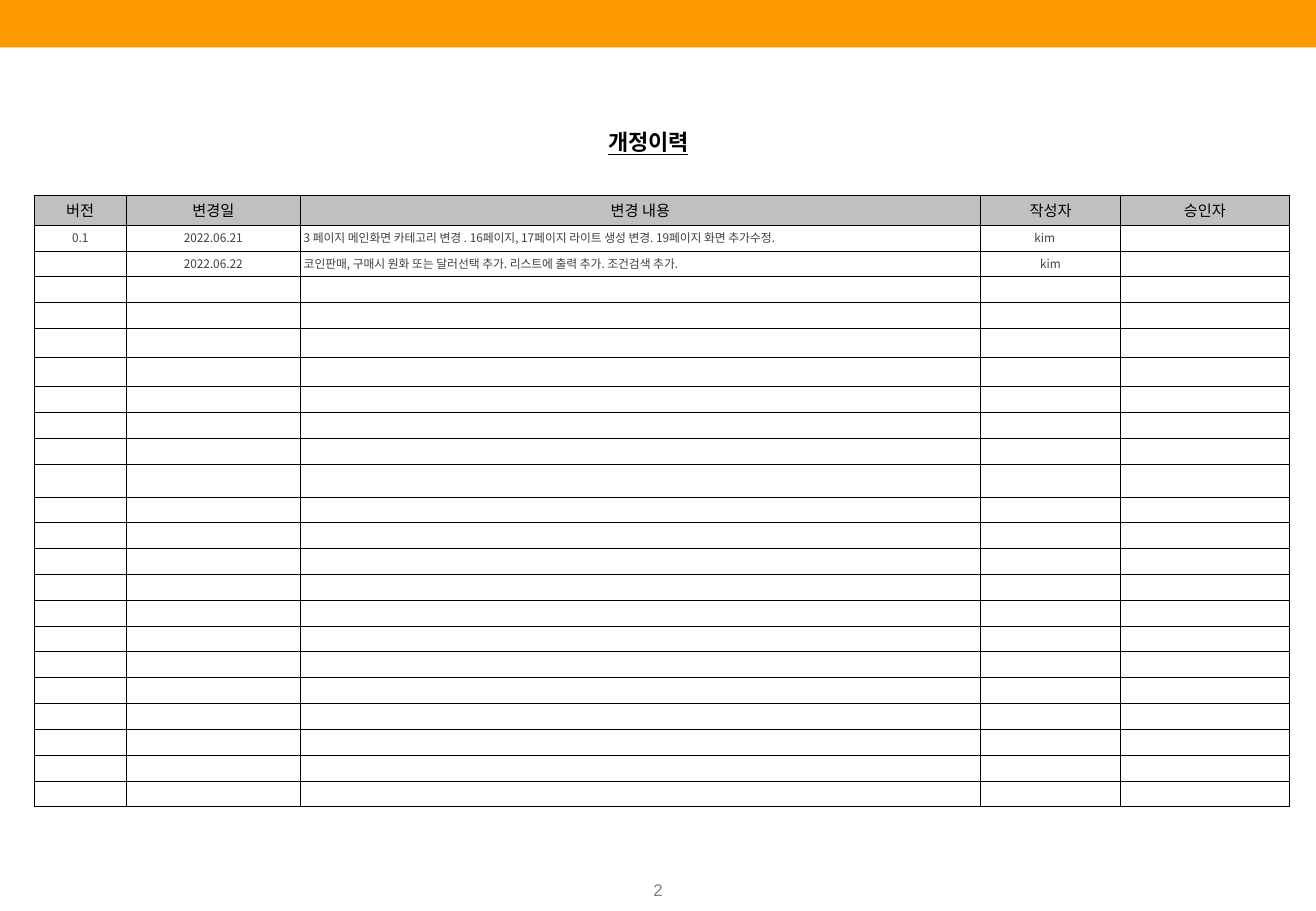
from lxml.etree import SubElement
from pptx import Presentation
from pptx.dml.color import RGBColor
from pptx.enum.shapes import MSO_SHAPE
from pptx.enum.text import MSO_ANCHOR, MSO_AUTO_SIZE, PP_ALIGN
from pptx.oxml.ns import qn
from pptx.util import Inches, Pt

ORANGE = RGBColor(0xFF, 0x99, 0x00)
SILVER = RGBColor(0xC0, 0xC0, 0xC0)
BLACK = RGBColor(0x00, 0x00, 0x00)
CHARCOAL = RGBColor(0x3F, 0x3F, 0x3F)
GRAY = RGBColor(0x80, 0x80, 0x80)

KOREAN = "Noto Sans CJK KR"
TITLE = {"name": KOREAN, "size": Pt(13), "bold": True, "underline": True}
HEADER = {"name": KOREAN, "size": Pt(9), "bold": False}
BODY = {"name": KOREAN, "size": Pt(7), "bold": False}
PAGE = {"name": "Arial", "size": Pt(10)}

COLUMN_WIDTHS = [0.76, 1.43, 5.6, 1.15, 1.39]
TABLE_HEIGHT = 5.02
ROW_COUNT = 23
SPECIAL_ROWS = {0: 0.23, 5: 0.24, 6: 0.24, 10: 0.27}
REGULAR_ROW = (TABLE_HEIGHT - sum(SPECIAL_ROWS.values())) / (ROW_COUNT - len(SPECIAL_ROWS))
DESCRIPTION_COLUMN = 2

REVISIONS = [
    ["버전", "변경일", "변경 내용", "작성자", "승인자"],
    ["0.1", "2022.06.21",
     "3 페이지 메인화면 카테고리 변경 . 16페이지, 17페이지 라이트 생성 변경. 19페이지 화면 추가수정.",
     "kim　", ""],
    ["", "2022.06.22",
     "코인판매, 구매시 원화 또는 달러선택 추가. 리스트에 출력 추가. 조건검색 추가.",
     "kim", ""],
]


class RevisionSlide:
    def __init__(self, presentation):
        self.slide = presentation.slides.add_slide(presentation.slide_layouts[5])

    def add_text(self, paragraph, text, style, color, align=PP_ALIGN.CENTER):
        paragraph.alignment = align
        if not text:
            end = paragraph._p.get_or_add_endParaRPr()
            end.set("sz", str(int(style["size"].pt * 100)))
            return
        run = paragraph.add_run()
        run.text = text
        for name, value in style.items():
            setattr(run.font, name, value)
        run.font.color.rgb = color
        SubElement(run._r.get_or_add_rPr(), qn("a:ea"), typeface=style["name"])

    def frame(self, shape, text, style, color, margins):
        frame = shape.text_frame
        horizontal, vertical = (Inches(margin) for margin in margins)
        settings = {
            "word_wrap": True, "auto_size": MSO_AUTO_SIZE.NONE,
            "vertical_anchor": MSO_ANCHOR.MIDDLE,
            "margin_left": horizontal, "margin_right": horizontal,
            "margin_top": vertical, "margin_bottom": vertical,
        }
        for name, value in settings.items():
            setattr(frame, name, value)
        self.add_text(frame.paragraphs[0], text, style, color)

    def band(self, left, top, width, height, color):
        shape = self.slide.shapes.add_shape(
            MSO_SHAPE.RECTANGLE, *map(Inches, (left, top, width, height)))
        shape.shadow.inherit = False
        shape.fill.solid()
        shape.fill.fore_color.rgb = color
        shape.line.fill.background()

    def title(self, left, top, width, height, text):
        shape = self.slide.shapes.title
        box = {"left": left, "top": top, "width": width, "height": height}
        for name, value in box.items():
            setattr(shape, name, Inches(value))
        self.frame(shape, text, TITLE, BLACK, (0.08, 0.04))

    def page_number(self, left, top, width, height, text):
        shape = self.slide.shapes.add_textbox(*map(Inches, (left, top, width, height)))
        self.frame(shape, text, PAGE, GRAY, (0.1, 0.05))

    def borders(self, cell):
        properties = cell._tc.get_or_add_tcPr()
        for side in ("lnL", "lnR", "lnT", "lnB"):
            line = SubElement(properties, qn(f"a:{side}"), w=str(Pt(0.25)))
            fill = SubElement(line, qn("a:solidFill"))
            SubElement(fill, qn("a:srgbClr"), val=str(BLACK))

    def cell(self, cell, text, is_header, align):
        settings = {f"margin_{side}": Inches(0.03) for side in ("left", "right", "top", "bottom")}
        settings["vertical_anchor"] = MSO_ANCHOR.MIDDLE
        for name, value in settings.items():
            setattr(cell, name, value)
        self.borders(cell)
        if is_header:
            cell.fill.solid()
            cell.fill.fore_color.rgb = SILVER
        else:
            cell.fill.background()
        style, color = (HEADER, BLACK) if is_header else (BODY, CHARCOAL)
        self.add_text(cell.text_frame.paragraphs[0], text, style, color, align)

    def table(self, left, top, rows):
        column_count = len(COLUMN_WIDTHS)
        table = self.slide.shapes.add_table(
            ROW_COUNT, column_count, Inches(left), Inches(top),
            Inches(sum(COLUMN_WIDTHS)), Inches(TABLE_HEIGHT)).table
        table.first_row = table.horz_banding = False
        for column, width in zip(table.columns, COLUMN_WIDTHS):
            column.width = Inches(width)
        for row_index, row in enumerate(table.rows):
            row.height = Inches(SPECIAL_ROWS.get(row_index, REGULAR_ROW))
            texts = rows[row_index] if row_index < len(rows) else [""] * column_count
            is_header = row_index == 0
            for column_index, text in enumerate(texts):
                is_description = column_index == DESCRIPTION_COLUMN and not is_header
                align = PP_ALIGN.LEFT if is_description else PP_ALIGN.CENTER
                self.cell(row.cells[column_index], text, is_header, align)


def main():
    presentation = Presentation()
    presentation.slide_width = Inches(10.83)
    presentation.slide_height = Inches(7.5)
    page = RevisionSlide(presentation)
    page.band(0, 0, 10.83, 0.39, ORANGE)
    page.title(3.68, 0.97, 3.31, 0.4, "개정이력")
    page.table(0.28, 1.61, REVISIONS)
    page.page_number(5.14, 7.19, 0.55, 0.27, "2")
    presentation.save("out.pptx")


if __name__ == "__main__":
    main()
